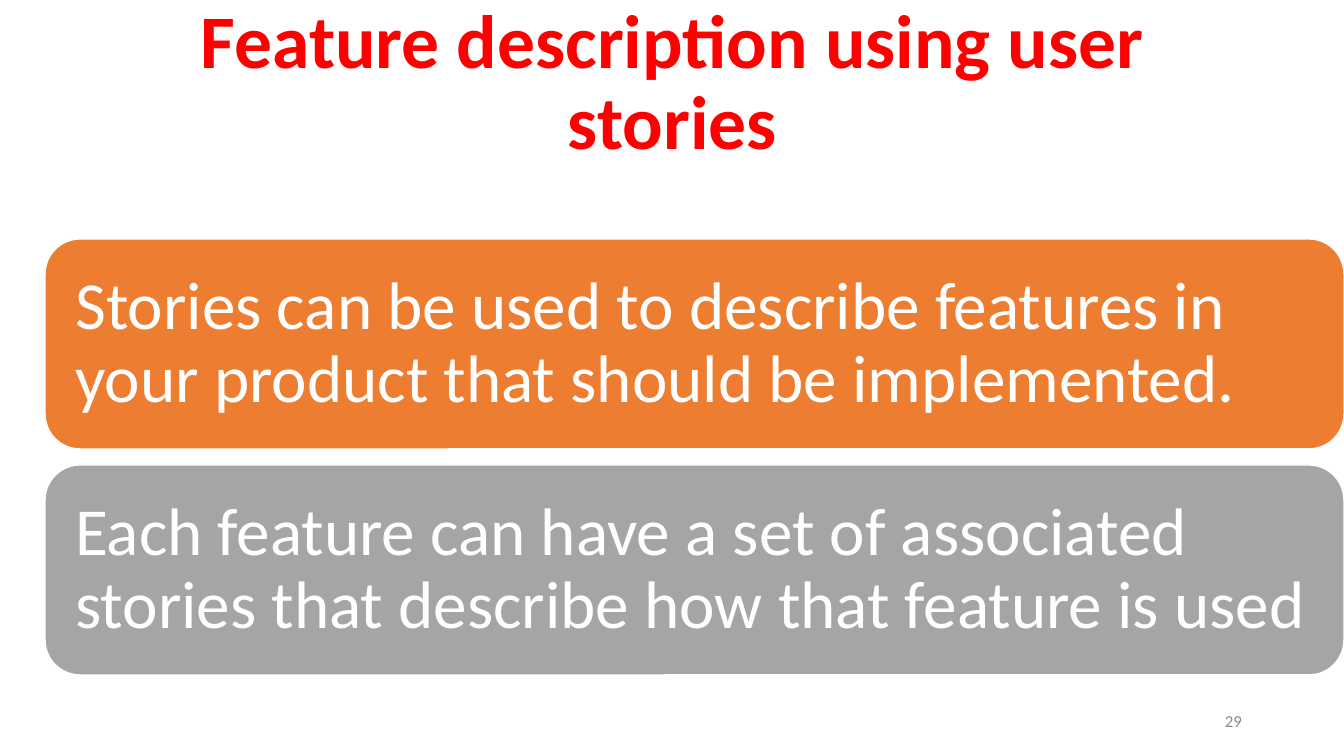
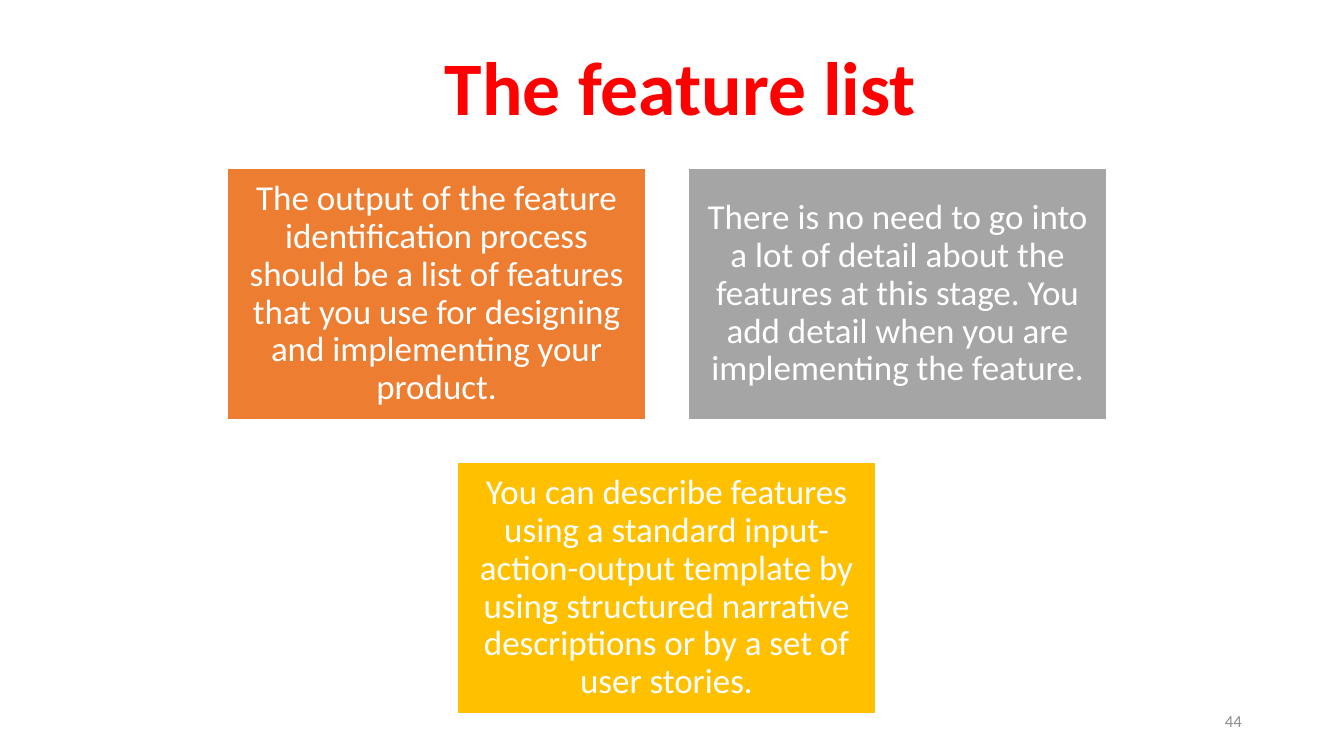
"""Build two slides on describing product features: user stories and the feature list."""
from dataclasses import dataclass

from pptx import Presentation
from pptx.dml.color import RGBColor
from pptx.enum.shapes import MSO_SHAPE
from pptx.enum.text import MSO_ANCHOR, MSO_AUTO_SIZE, PP_ALIGN
from pptx.util import Emu, Pt


@dataclass(frozen=True)
class Theme:
    font: str = "Calibri"
    title: str = "FF0000"
    on_card: str = "FFFFFF"
    number: str = "8C8C8C"
    accents: tuple = ("ED7D31", "A5A5A5", "FFC000")
    title_size: int = 54
    story_size: int = 48
    feature_size: int = 25
    number_size: int = 12


THEME = Theme()
SLIDE_W, SLIDE_H = 1344, 756
SCALE = 12192000 / SLIDE_W


def px(*lengths):
    return [Emu(round(length * SCALE)) for length in lengths]


def write(target, text, *, size, color, bold=False, align=PP_ALIGN.LEFT, spacing=0.9, inset=None):
    frame = target.text_frame
    frame.text = text
    frame.word_wrap = True
    frame.auto_size = MSO_AUTO_SIZE.NONE
    frame.vertical_anchor = MSO_ANCHOR.MIDDLE
    if inset is not None:
        frame.margin_left, frame.margin_top, frame.margin_right, frame.margin_bottom = px(*[inset] * 4)
    paragraph = frame.paragraphs[0]
    paragraph.alignment = align
    paragraph.line_spacing = spacing
    paragraph.font.name = THEME.font
    paragraph.font.size = Pt(size)
    paragraph.font.bold = bold
    paragraph.font.color.rgb = RGBColor.from_string(color)


STORY_X, STORY_Y, STORY_W, STORY_H, STORY_GAP = 45, 239, 1299, 210, 16
FEATURE_X, FEATURE_Y, FEATURE_W, FEATURE_H, FEATURE_GAP = 227, 168, 419, 252, 42
feature_step = FEATURE_W + FEATURE_GAP

stories = [
    "Stories can be used to describe features in your product that should be implemented.",
    "Each feature can have a set of associated stories that describe how that feature is used",
]
features = [
    "The output of the feature identification process should be a list of features "
    "that you use for designing and implementing your product.",
    "There is no need to go into a lot of detail about the features at this stage. "
    "You add detail when you are implementing the feature.",
    "You can describe features using a standard input-action-output template by using "
    "structured narrative descriptions or by a set of user stories.",
]
story_places = [(STORY_X, STORY_Y + row * (STORY_H + STORY_GAP)) for row in range(2)]
feature_places = [
    (FEATURE_X, FEATURE_Y),
    (FEATURE_X + feature_step, FEATURE_Y),
    (FEATURE_X + feature_step // 2, FEATURE_Y + FEATURE_H + FEATURE_GAP),
]

pages = [
    dict(title="Feature description using user stories", title_at=(93, 40), number="29",
         cards=stories, places=story_places, card_size=(STORY_W, STORY_H),
         outline=MSO_SHAPE.ROUNDED_RECTANGLE,
         style=dict(size=THEME.story_size, inset=20)),
    dict(title="The feature list", title_at=(101, 46), number="44",
         cards=features, places=feature_places, card_size=(FEATURE_W, FEATURE_H),
         outline=MSO_SHAPE.RECTANGLE,
         style=dict(size=THEME.feature_size, inset=10, align=PP_ALIGN.CENTER)),
]

deck = Presentation()
deck.slide_width, deck.slide_height = px(SLIDE_W, SLIDE_H)
title_only = deck.slide_layouts[5]

for page in pages:
    slide = deck.slides.add_slide(title_only)
    heading = slide.shapes.title
    heading.left, heading.top, heading.width, heading.height = px(*page["title_at"], 1159, 89)
    write(heading, page["title"], size=THEME.title_size, color=THEME.title,
          bold=True, align=PP_ALIGN.CENTER)

    for message, place, accent in zip(page["cards"], page["places"], THEME.accents):
        card = slide.shapes.add_shape(page["outline"], *px(*place, *page["card_size"]))
        card.shadow.inherit = False
        card.fill.solid()
        card.fill.fore_color.rgb = RGBColor.from_string(accent)
        card.line.color.rgb = RGBColor.from_string(THEME.on_card)
        card.line.width = Pt(1)
        write(card, message, color=THEME.on_card, **page["style"])

    page_number = slide.shapes.add_textbox(*px(950, 701, 302, 40))
    write(page_number, page["number"], size=THEME.number_size, color=THEME.number,
          align=PP_ALIGN.RIGHT, spacing=1.0)

deck.save("out.pptx")
